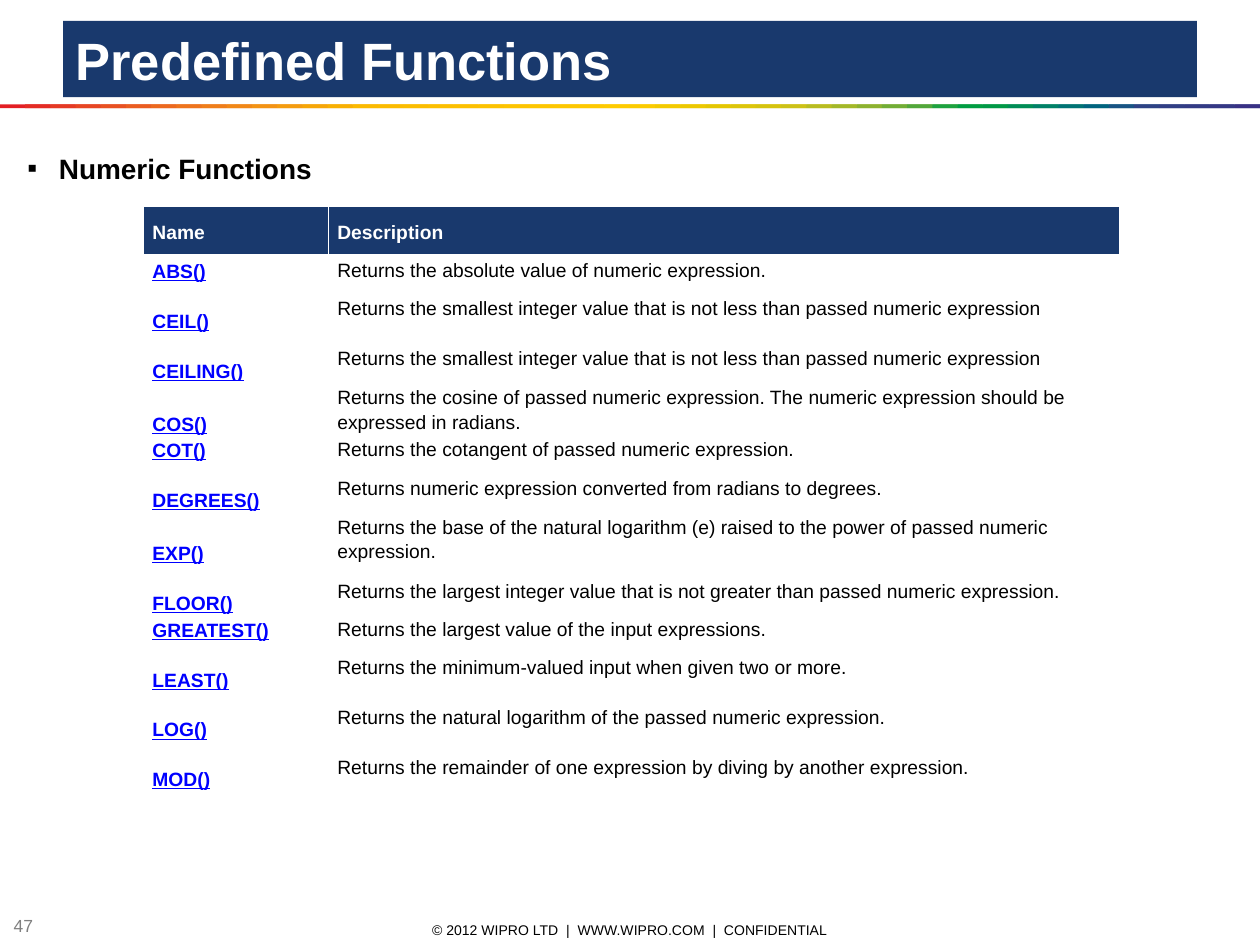
from dataclasses import dataclass

from lxml import etree
from pptx import Presentation
from pptx.dml.color import RGBColor
from pptx.enum.shapes import MSO_SHAPE
from pptx.enum.text import MSO_ANCHOR, MSO_AUTO_SIZE, PP_ALIGN
from pptx.oxml.ns import qn
from pptx.util import Pt

RECTANGLE = MSO_SHAPE.RECTANGLE
TOP, MIDDLE, BOTTOM = MSO_ANCHOR.TOP, MSO_ANCHOR.MIDDLE, MSO_ANCHOR.BOTTOM
LEFT, CENTER = PP_ALIGN.LEFT, PP_ALIGN.CENTER
NO_AUTOFIT = MSO_AUTO_SIZE.NONE

SLIDE_WIDTH, SLIDE_HEIGHT = 720, 540
FONT = "Arial"
COLORS = {
    "navy": "19396D",
    "white": "FFFFFF",
    "black": "000000",
    "gray": "808080",
    "link": "0000FF",
}
RAINBOW = """
    E31E24 E42C24 E53A24 E74623 E85122 EA5D21 EC691F EE741D EF7E1A F18817
    F39314 F49C0F F6A607 F8B002 FBBA00 FBBB00 FBBD00 FCBF00 FCC000 FCC200
    FDC400 FDC600 FDC700 FEC900 FECB00 FBCB00 F3CA00 ECC800 E4C602 DCC50A
    D5C30E CCC117 B8BC21 A3B829 8CB230 71AD36 51A73B 1DA240 009D43 009846
    008C57 008068 007275 00637F 185384 2E4285 313E85 333B85 353885 393185
""".split()


@dataclass(frozen=True)
class Box:
    left: float
    top: float
    width: float
    height: float

    def lengths(self) -> tuple:
        return Pt(self.left), Pt(self.top), Pt(self.width), Pt(self.height)


@dataclass(frozen=True)
class TextStyle:
    size: float
    color: str
    bold: bool = False
    underline: bool = False


@dataclass(frozen=True)
class NumericFunction:
    name: str
    description: str
    height: float = 28.5


TITLE_BOX = Box(36, 12, 648, 43.6)
RAINBOW_BOX = Box(0, 59.6, SLIDE_WIDTH, 2.2)
HEADING_BOX = Box(8.6, 82.8, 697, 432.7)
TABLE_BOX = Box(82.1, 118.1, 558, 333)
COPYRIGHT_BOX = Box(237.6, 524.2, 244.8, 14.4)
NUMBER_BOX = Box(0.7, 523.4, 28.1, 11.5)
COLUMN_WIDTHS = (105.7, 452.3)
HEADER_HEIGHT = 28.1
SHORT_ROW = 15.1

TITLE_STYLE = TextStyle(30, "white", bold=True)
HEADING_STYLE = TextStyle(16, "black", bold=True)
HEADER_STYLE = TextStyle(11, "white", bold=True)
LINK_STYLE = TextStyle(11, "link", bold=True, underline=True)
DESCRIPTION_STYLE = TextStyle(11, "black")

NUMERIC_FUNCTIONS = (
    NumericFunction("ABS()", "Returns the absolute value of numeric expression.", SHORT_ROW),
    NumericFunction("CEIL()", "Returns the smallest integer value that is not less than passed numeric expression"),
    NumericFunction("CEILING()", "Returns the smallest integer value that is not less than passed numeric expression"),
    NumericFunction("COS()", "Returns the cosine of passed numeric expression. The numeric expression should be "
                    "expressed in radians."),
    NumericFunction("COT()", "Returns the cotangent of passed numeric expression.", SHORT_ROW),
    NumericFunction("DEGREES()", "Returns numeric expression converted from radians to degrees."),
    NumericFunction("EXP()", "Returns the base of the natural logarithm (e) raised to the power of passed numeric "
                    "expression."),
    NumericFunction("FLOOR()", "Returns the largest integer value that is not greater than passed numeric expression."),
    NumericFunction("GREATEST()", "Returns the largest value of the input expressions.", SHORT_ROW),
    NumericFunction("LEAST()", "Returns the minimum-valued input when given two or more."),
    NumericFunction("LOG()", "Returns the natural logarithm of the passed numeric expression."),
    NumericFunction("MOD()", "Returns the remainder of one expression by diving by another expression."),
)


def rgb(name: str) -> RGBColor:
    return RGBColor.from_string(COLORS[name])


def style_paragraph(paragraph, style: TextStyle) -> None:
    font = paragraph.font
    font.name = FONT
    font.size = Pt(style.size)
    font.bold = style.bold
    font.underline = style.underline
    font.color.rgb = rgb(style.color)


def add_bullet(paragraph, character: str, indent: float) -> None:
    properties = paragraph._p.get_or_add_pPr()
    properties.set("marL", str(Pt(indent)))
    properties.set("indent", str(Pt(-indent)))
    etree.SubElement(properties, qn("a:buFont"), typeface=FONT)
    etree.SubElement(properties, qn("a:buChar"), char=character)


def add_text(slide, box: Box, text: str, style: TextStyle, alignment=LEFT, anchor=MIDDLE):
    """Add a wrapping text box and return its only paragraph."""
    frame = slide.shapes.add_textbox(*box.lengths()).text_frame
    frame.word_wrap = True
    frame.vertical_anchor = anchor
    paragraph = frame.paragraphs[0]
    paragraph.text = text
    paragraph.alignment = alignment
    if style is HEADING_STYLE:
        add_bullet(paragraph, "▪", 18)
    style_paragraph(paragraph, style)
    return paragraph


def add_title(slide, text: str) -> None:
    title = slide.shapes.title
    title.left, title.top, title.width, title.height = TITLE_BOX.lengths()
    title.fill.solid()
    title.fill.fore_color.rgb = rgb("navy")
    frame = title.text_frame
    frame.auto_size = NO_AUTOFIT
    frame.vertical_anchor = MIDDLE
    paragraph = frame.paragraphs[0]
    paragraph.text = text
    paragraph.alignment = LEFT
    style_paragraph(paragraph, TITLE_STYLE)


def add_rainbow(slide) -> None:
    """Draw overlapping bands, each covering the second half of the one before."""
    step = RAINBOW_BOX.width / len(RAINBOW)
    for index, color in enumerate(RAINBOW):
        left = index * step
        width = min(2 * step, RAINBOW_BOX.width - left)
        box = Box(left, RAINBOW_BOX.top, width, RAINBOW_BOX.height)
        band = slide.shapes.add_shape(RECTANGLE, *box.lengths())
        band.shadow.inherit = False
        band.fill.solid()
        band.fill.fore_color.rgb = RGBColor.from_string(color)
        band.line.fill.background()


def set_borders(cell, bottom_width: float) -> None:
    properties = cell._tc.get_or_add_tcPr()
    for side, width in (("lnL", 1), ("lnR", 1), ("lnT", 1), ("lnB", bottom_width)):
        line = etree.SubElement(properties, qn(f"a:{side}"), w=str(Pt(width)))
        fill = etree.SubElement(line, qn("a:solidFill"))
        etree.SubElement(fill, qn("a:srgbClr"), val=COLORS["white"])


def fill_cell(cell, text: str, style: TextStyle, fill: str, anchor, bottom_width: float = 1) -> None:
    set_borders(cell, bottom_width)
    cell.fill.solid()
    cell.fill.fore_color.rgb = rgb(fill)
    cell.vertical_anchor = anchor
    cell.margin_left = cell.margin_right = Pt(5)
    cell.margin_top = cell.margin_bottom = Pt(0)
    paragraph = cell.text_frame.paragraphs[0]
    paragraph.text = text
    paragraph.line_spacing = 1.15
    style_paragraph(paragraph, style)


def add_function_table(slide) -> None:
    row_count = len(NUMERIC_FUNCTIONS) + 1
    table = slide.shapes.add_table(row_count, len(COLUMN_WIDTHS), *TABLE_BOX.lengths()).table
    table.horz_banding = False
    for column, width in zip(table.columns, COLUMN_WIDTHS):
        column.width = Pt(width)
    table.rows[0].height = Pt(HEADER_HEIGHT)
    for column, heading in enumerate(("Name", "Description")):
        fill_cell(table.cell(0, column), heading, HEADER_STYLE, "navy", MIDDLE, bottom_width=3)
    for row, function in enumerate(NUMERIC_FUNCTIONS, start=1):
        table.rows[row].height = Pt(function.height)
        fill_cell(table.cell(row, 0), function.name, LINK_STYLE, "white", BOTTOM)
        fill_cell(table.cell(row, 1), function.description, DESCRIPTION_STYLE, "white", MIDDLE)


def main() -> None:
    presentation = Presentation()
    presentation.slide_width, presentation.slide_height = Pt(SLIDE_WIDTH), Pt(SLIDE_HEIGHT)
    slide = presentation.slides.add_slide(presentation.slide_layouts.get_by_name("Title Only"))
    add_text(slide, COPYRIGHT_BOX, "© 2012 WIPRO LTD\u00a0 |\u00a0 WWW.WIPRO.COM\u00a0 |\u00a0 CONFIDENTIAL".replace("\u00a0", " "),
             TextStyle(8, "black"), CENTER)
    add_text(slide, NUMBER_BOX, "47", TextStyle(10, "gray"))
    add_rainbow(slide)
    add_title(slide, "Predefined Functions")
    add_text(slide, HEADING_BOX, "Numeric Functions", HEADING_STYLE, anchor=TOP)
    add_function_table(slide)
    presentation.save("out.pptx")


if __name__ == "__main__":
    main()
